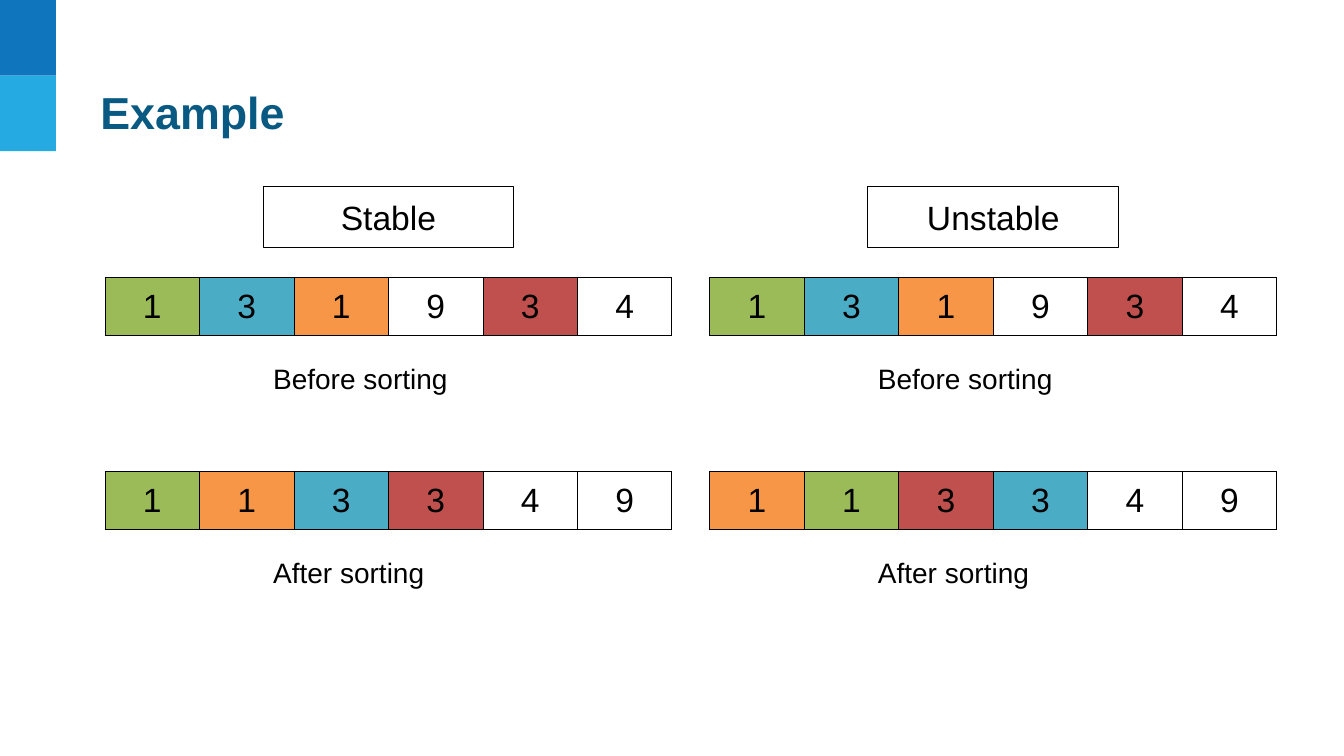
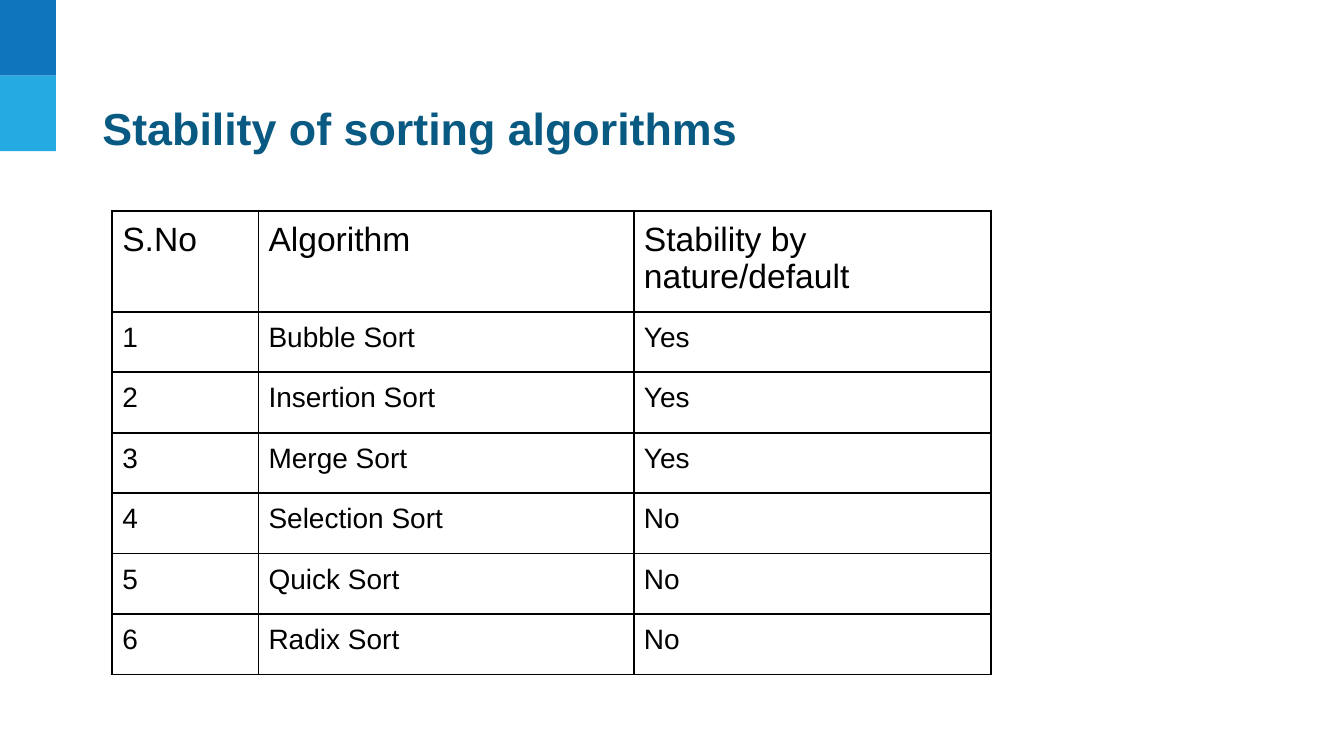
"""Build two slides on the stability of sorting algorithms."""
from lxml.etree import SubElement
from pptx import Presentation
from pptx.dml.color import RGBColor
from pptx.enum.shapes import MSO_SHAPE
from pptx.enum.text import MSO_ANCHOR, MSO_AUTO_SIZE, PP_ALIGN
from pptx.oxml import parse_xml
from pptx.oxml.ns import nsdecls, qn
from pptx.util import Pt

FONT = "Arial"
BLACK = RGBColor(0x00, 0x00, 0x00)
WHITE = RGBColor(0xFF, 0xFF, 0xFF)
TITLE_BLUE = RGBColor(0x09, 0x5A, 0x82)
BAND_COLORS = [RGBColor(0x0F, 0x75, 0xBD), RGBColor(0x25, 0xAA, 0xE2)]
GREEN = RGBColor(0x9B, 0xBB, 0x59)
TEAL = RGBColor(0x4B, 0xAC, 0xC6)
ORANGE = RGBColor(0xF7, 0x96, 0x46)
RED = RGBColor(0xC0, 0x50, 0x4D)

BAND_WIDTH, BAND_HEIGHT = 40, 54
INSET = 7.2
LARGE, SMALL = 24, 20
TABLE_FRAME = 236.2

BEFORE = [("1", GREEN), ("3", TEAL), ("1", ORANGE), ("9", None), ("3", RED), ("4", None)]
STABLE_AFTER = [("1", GREEN), ("1", ORANGE), ("3", TEAL), ("3", RED), ("4", None), ("9", None)]
UNSTABLE_AFTER = [("1", ORANGE), ("1", GREEN), ("3", RED), ("3", TEAL), ("4", None), ("9", None)]
CAPTIONS = ["Before sorting", "After sorting"]
EXAMPLES = [
    ("Stable", [BEFORE, STABLE_AFTER]),
    ("Unstable", [BEFORE, UNSTABLE_AFTER]),
]
HEADERS = ["S.No", "Algorithm", "Stability by nature/default"]
ALGORITHMS = [
    ("Bubble Sort", "Yes"),
    ("Insertion Sort", "Yes"),
    ("Merge Sort", "Yes"),
    ("Selection Sort", "No"),
    ("Quick Sort", "No"),
    ("Radix Sort", "No"),
]

EXAMPLE_LEFT, EXAMPLE_STEP = 75, 432
ARRAY_TOP, ARRAY_STEP = 198.5, 138.6
CELL_WIDTH, CELL_HEIGHT = 67.5, 30
LABEL_INDENT, LABEL_DROP = 113, 50
LABEL_WIDTH, LABEL_HEIGHT = 179, 43.5
HEADING_TOP = 133


def format_text(paragraph, size, color=BLACK, bold=False, alignment=PP_ALIGN.LEFT):
    paragraph.alignment = alignment
    font = paragraph.font
    font.name, font.size, font.bold = FONT, Pt(size), bold
    font.color.rgb = color


def add_rectangle(slide, left, top, width, height, fill, line=None):
    shape = slide.shapes.add_shape(MSO_SHAPE.RECTANGLE, Pt(left), Pt(top), Pt(width), Pt(height))
    shape.shadow.inherit = False
    shape.fill.solid()
    shape.fill.fore_color.rgb = fill
    if line is None:
        shape.line.fill.background()
    else:
        shape.line.color.rgb = line
        shape.line.width = Pt(0.75)
    return shape


def add_label(slide, text, left, top, size, line, alignment):
    shape = add_rectangle(slide, left, top, LABEL_WIDTH, LABEL_HEIGHT, WHITE, line)
    frame = shape.text_frame
    frame.word_wrap = True
    frame.vertical_anchor = MSO_ANCHOR.MIDDLE
    frame.margin_left = frame.margin_right = frame.margin_top = frame.margin_bottom = Pt(INSET)
    frame.text = text
    format_text(frame.paragraphs[0], size, alignment=alignment)


def add_bands(slide, layout):
    for index, color in enumerate(BAND_COLORS):
        band = add_rectangle(slide, 0, index * BAND_HEIGHT, BAND_WIDTH, BAND_HEIGHT, color)
        layout.shapes.element.insert(2 + index, band.element)


def add_title_slide(presentation, layout, text, left, top, width):
    slide = presentation.slides.add_slide(layout)
    title = slide.shapes.title
    title.left, title.top, title.width, title.height = Pt(left), Pt(top), Pt(width), Pt(65)
    frame = title.text_frame
    frame.text = text
    frame.auto_size = MSO_AUTO_SIZE.NONE
    frame.vertical_anchor = MSO_ANCHOR.MIDDLE
    format_text(frame.paragraphs[0], 32, TITLE_BLUE, bold=True)
    return slide


def set_borders(cell, width):
    properties = cell._tc.get_or_add_tcPr()
    for index, side in enumerate(("lnL", "lnR", "lnT", "lnB")):
        border = parse_xml(f'<a:{side} {nsdecls("a")} w="{Pt(width)}"/>')
        fill = SubElement(border, qn("a:solidFill"))
        SubElement(fill, qn("a:srgbClr"), val=str(BLACK))
        properties.insert(index, border)


def add_grid(slide, left, top, widths, heights, rows, border, alignment=PP_ALIGN.LEFT):
    frame = slide.shapes.add_table(
        len(heights), len(widths), Pt(left), Pt(top), Pt(TABLE_FRAME), Pt(TABLE_FRAME)
    )
    table = frame.table
    table.first_row = table.horz_banding = False
    for column, width in zip(table.columns, widths):
        column.width = Pt(width)
    for row, height, contents in zip(table.rows, heights, rows):
        row.height = Pt(height)
        for cell, (text, color, size) in zip(row.cells, contents):
            cell.margin_left = cell.margin_right = Pt(INSET)
            cell.margin_top = cell.margin_bottom = Pt(INSET)
            cell.text = text
            format_text(cell.text_frame.paragraphs[0], size, alignment=alignment)
            if color is None:
                cell.fill.background()
            else:
                cell.fill.solid()
                cell.fill.fore_color.rgb = color
            set_borders(cell, border)
    frame.width = frame.height = Pt(TABLE_FRAME)


def fill_example(slide):
    tops = [ARRAY_TOP + index * ARRAY_STEP for index in range(len(CAPTIONS))]
    lefts = [EXAMPLE_LEFT + index * EXAMPLE_STEP for index in range(len(EXAMPLES))]
    for left, (_, arrays) in zip(lefts, EXAMPLES):
        for top, values in zip(tops, arrays):
            cells = [(text, color, LARGE) for text, color in values]
            widths = [CELL_WIDTH] * len(cells)
            add_grid(slide, left, top, widths, [CELL_HEIGHT], [cells], 0.75, PP_ALIGN.CENTER)
        for top, caption in zip(tops, CAPTIONS):
            add_label(slide, caption, left + LABEL_INDENT, top + LABEL_DROP, SMALL, WHITE,
                      PP_ALIGN.LEFT)
    for left, (heading, _) in zip(lefts, EXAMPLES):
        add_label(slide, heading, left + LABEL_INDENT, HEADING_TOP, LARGE, BLACK,
                  PP_ALIGN.CENTER)


def fill_stability(slide):
    rows = [[(text, None, LARGE) for text in HEADERS]]
    for number, (algorithm, stable) in enumerate(ALGORITHMS, 1):
        rows.append([(text, None, SMALL) for text in (str(number), algorithm, stable)])
    heights = [72] + [43.2] * len(ALGORITHMS)
    add_grid(slide, 80.2, 150.6, [104.4, 268.2, 255], heights, rows, 1.5)


def main():
    presentation = Presentation()
    presentation.slide_width, presentation.slide_height = Pt(960), Pt(540)
    layout = presentation.slide_layouts.get_by_name("Title Only")
    example = add_title_slide(presentation, layout, "Example", 64.5, 47, 630)
    add_bands(example, layout)
    fill_example(example)
    stability = add_title_slide(
        presentation, layout, "Stability of sorting algorithms", 66, 58.5, 831
    )
    fill_stability(stability)
    presentation.save("out.pptx")


if __name__ == "__main__":
    main()
